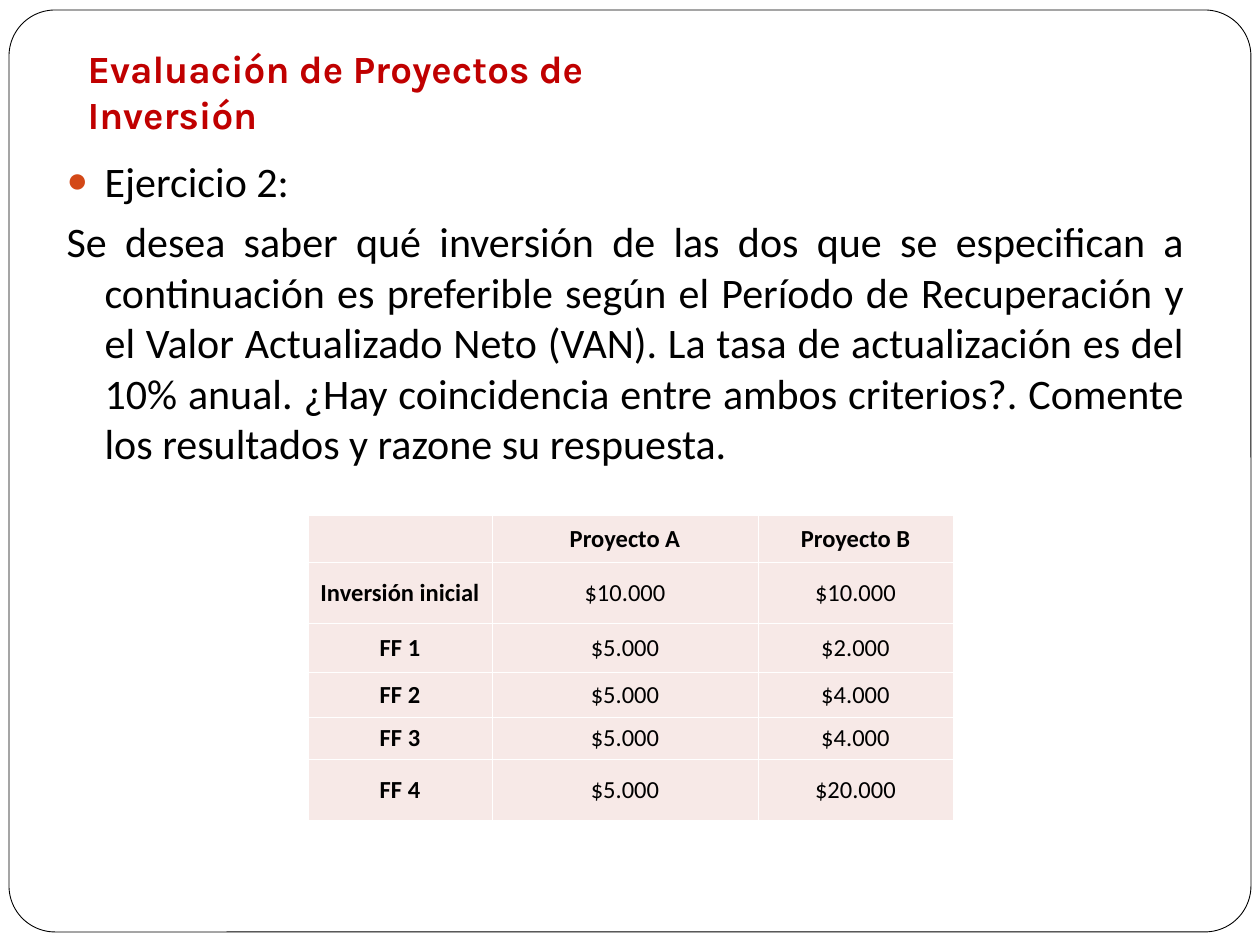
from lxml.etree import SubElement
from pptx import Presentation
from pptx.dml.color import RGBColor
from pptx.enum.shapes import MSO_SHAPE
from pptx.enum.text import MSO_ANCHOR, MSO_AUTO_SIZE, PP_ALIGN
from pptx.oxml.ns import qn
from pptx.util import Emu, Pt

# Content
HEADING = "Evaluación de Proyectos de Inversión"
EXERCISE = "Ejercicio 2:"
QUESTION = (
    "Se desea saber qué inversión de las dos que se especifican a continuación "
    "es preferible según el Período de Recuperación y el Valor Actualizado Neto "
    "(VAN). La tasa de actualización es del 10% anual. ¿Hay coincidencia entre "
    "ambos criterios?. Comente los resultados y razone su respuesta."
)
CASH_FLOWS = [
    ("", "Proyecto A", "Proyecto B"),
    ("Inversión inicial", "$10.000", "$10.000"),
    ("FF 1", "$5.000", "$2.000"),
    ("FF 2", "$5.000", "$4.000"),
    ("FF 3", "$5.000", "$4.000"),
    ("FF 4", "$5.000", "$20.000"),
]

# Layout in px
PX = 914400 // 126
COLUMN_WIDTHS = [184, 266, 195]
ROW_HEIGHTS = [47, 61, 49, 45, 42, 61]
HANGING = 38
COLORS = {"text": "000000", "heading": "C00000", "bullet": "D34817",
          "cell": "F7E9E7", "paper": "FFFFFF"}


def px(length):
    return Emu(length * PX)


def rgb(name):
    return RGBColor.from_string(COLORS[name])


def place(shape, left, top, width, height):
    shape.left, shape.top = px(left), px(top)
    shape.width, shape.height = px(width), px(height)


def write(paragraph, text, *, size, font="Calibri", color="text", bold=False,
          align=PP_ALIGN.LEFT, before=0):
    paragraph.alignment = align
    paragraph.space_before = Pt(before)
    run = paragraph.add_run()
    run.text = text
    run.font.size, run.font.name, run.font.bold = Pt(size), font, bold
    run.font.color.rgb = rgb(color)


def hang(paragraph, bullet=None):
    props = paragraph._p.get_or_add_pPr()
    props.set("marL", str(px(HANGING)))
    props.set("indent", str(px(-HANGING)))
    if bullet is None:
        SubElement(props, qn("a:buNone"))
        return
    SubElement(SubElement(props, qn("a:buClr")), qn("a:srgbClr"), val=COLORS["bullet"])
    SubElement(props, qn("a:buSzPct"), val="85000")
    SubElement(props, qn("a:buChar"), char=bullet)


def add_borders(cell):
    props = cell._tc.get_or_add_tcPr()
    for side in ("lnL", "lnR", "lnT", "lnB"):
        line = SubElement(props, qn(f"a:{side}"), w=str(Pt(0.45)))
        SubElement(SubElement(line, qn("a:solidFill")), qn("a:srgbClr"),
                   val=COLORS["paper"])


prs = Presentation()
prs.slide_width, prs.slide_height = px(1260), px(945)
slide = prs.slides.add_slide(prs.slide_layouts[1])

# Rounded frame, behind everything
frame = slide.shapes.add_shape(MSO_SHAPE.ROUNDED_RECTANGLE, px(9), px(10), px(1242), px(922))
frame.adjustments[0] = 0.05
frame.shadow.inherit = False
frame.fill.solid()
frame.fill.fore_color.rgb = rgb("paper")
frame.line.color.rgb = rgb("text")
frame.line.width = Pt(0.5)
slide.shapes._spTree.insert(2, frame._element)

# Title
title = slide.shapes.title
place(title, 75, 86, 645, 64)
heading = title.text_frame
heading.auto_size = MSO_AUTO_SIZE.NONE
heading.word_wrap = True
heading.vertical_anchor = MSO_ANCHOR.BOTTOM
heading.margin_bottom = px(13)
write(heading.paragraphs[0], HEADING, size=22, font="Karla", color="heading", bold=True)

# Exercise statement
body = slide.placeholders[1]
place(body, 54, 149, 1143, 731)
statement = body.text_frame
statement.auto_size = MSO_AUTO_SIZE.NONE
exercise, question = statement.paragraphs[0], statement.add_paragraph()
hang(exercise, "●")
write(exercise, EXERCISE, size=24)
hang(question)
write(question, QUESTION, size=24, align=PP_ALIGN.JUSTIFY, before=5.8)

# Cash flow table
table = slide.shapes.add_table(
    len(ROW_HEIGHTS), len(COLUMN_WIDTHS), px(308), px(515),
    px(sum(COLUMN_WIDTHS)), px(sum(ROW_HEIGHTS))).table
for column, width in zip(table.columns, COLUMN_WIDTHS):
    column.width = px(width)
for row, height in zip(table.rows, ROW_HEIGHTS):
    row.height = px(height)
for r, flows in enumerate(CASH_FLOWS):
    for c, text in enumerate(flows):
        cell = table.cell(r, c)
        add_borders(cell)
        cell.fill.solid()
        cell.fill.fore_color.rgb = rgb("cell")
        cell.vertical_anchor = MSO_ANCHOR.MIDDLE
        cell.margin_left = cell.margin_right = px(1)
        cell.margin_top = cell.margin_bottom = px(6)
        write(cell.text_frame.paragraphs[0], text, size=14,
              bold=r == 0 or c == 0, align=PP_ALIGN.CENTER)

prs.save("out.pptx")
